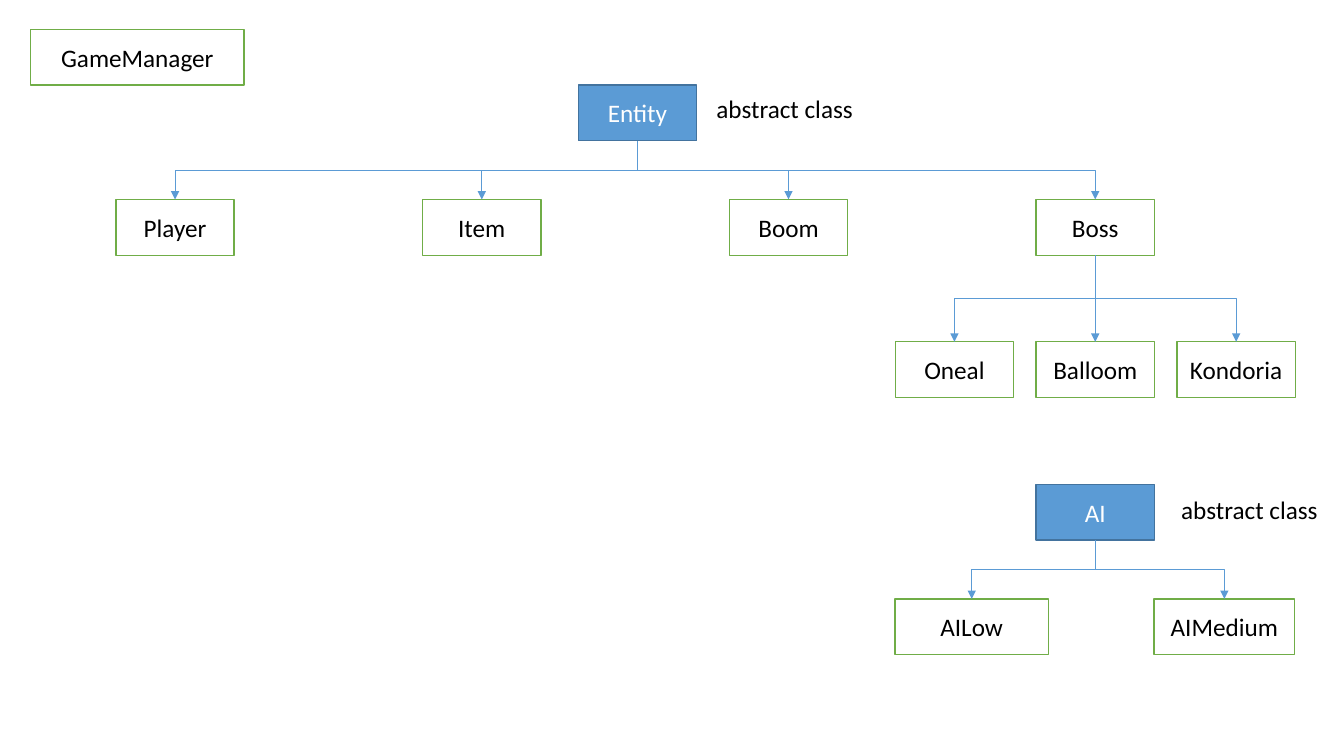
import pptx
import pptx.util
import pptx.dml.color
import pptx.enum.shapes
import pptx.enum.text
import pptx.oxml
import pptx.oxml.ns

Pt = pptx.util.Pt
COLOURS = {
    "blue": "5B9BD5",
    "navy": "43739E",
    "green": "70AD47",
    "white": "FFFFFF",
    "black": "000000",
}
BOX_WIDTH, BOX_HEIGHT = 84.5, 39.9
ROW_LEFT, ROW_PITCH = 82.8, 219.1
BOSS_LEFT, BOSS_PITCH = 740.1, 100.6


def colour(name):
    return pptx.dml.color.RGBColor.from_string(COLOURS[name])


def write(shape, text, ink, alignment):
    para = shape.text_frame.paragraphs[0]
    para.alignment = alignment
    span = para.add_run()
    span.text = text
    span.font.color.rgb = colour(ink)
    for key, value in {"name": "Calibri", "size": Pt(18)}.items():
        setattr(span.font, key, value)


deck = pptx.Presentation()
deck.slide_width, deck.slide_height = Pt(960), Pt(540)
page = deck.slides.add_slide(deck.slide_layouts[6])

classes = [
    ("GameManager", 22, 20.9, 152.2),
    ("Entity", 413.1, 60.7, BOX_WIDTH),
    ("AI", BOSS_LEFT, 345.9, BOX_WIDTH),
    ("AILow", 639.3, 427.8, 109.6),
    ("AIMedium", 824.2, 427.8, 100.7),
]
for index, name in enumerate(["Player", "Item", "Boom", "Boss"]):
    classes.append((name, ROW_LEFT + index * ROW_PITCH, 142.5, BOX_WIDTH))
for index, name in enumerate(["Oneal", "Balloom", "Kondoria"]):
    classes.append((name, BOSS_LEFT + (index - 1) * BOSS_PITCH, 244.1, BOX_WIDTH))

boxes = {}
for name, left, top, width in classes:
    abstract = name in ("Entity", "AI")
    fill, line, ink = ("blue", "navy", "white") if abstract else ("white", "green", "black")
    box = page.shapes.add_shape(
        pptx.enum.shapes.MSO_SHAPE.RECTANGLE, Pt(left), Pt(top), Pt(width), Pt(BOX_HEIGHT))
    box.shadow.inherit = False
    box.fill.solid()
    box.fill.fore_color.rgb = colour(fill)
    box.line.color.rgb = colour(line)
    box.line.width = Pt(1)
    box.text_frame.vertical_anchor = pptx.enum.text.MSO_ANCHOR.MIDDLE
    write(box, name, ink, pptx.enum.text.PP_ALIGN.CENTER)
    boxes[name] = box

children = {
    "Entity": ["Player", "Item", "Boom", "Boss"],
    "Boss": ["Balloom", "Oneal", "Kondoria"],
    "AI": ["AIMedium", "AILow"],
}
for parent_name, child_names in children.items():
    for child_name in child_names:
        parent, child = boxes[parent_name], boxes[child_name]
        start_x = parent.left + parent.width // 2
        end_x = child.left + child.width // 2
        start_y, end_y = parent.top + parent.height, child.top
        drop, reach = end_y - start_y, abs(end_x - start_x)
        link = page.shapes.add_connector(
            pptx.enum.shapes.MSO_CONNECTOR.ELBOW, start_x, start_y, end_x, end_y)
        link.begin_connect(parent, 2)
        link.end_connect(child, 0)
        placement = {
            "left": (start_x + end_x - drop) // 2,
            "top": (start_y + end_y - reach) // 2,
            "width": drop,
            "height": reach,
        }
        for key, value in placement.items():
            setattr(link, key, value)
        rightward = end_x > start_x
        properties = link._element.spPr
        frame = properties.find(pptx.oxml.ns.qn("a:xfrm"))
        frame.set("rot", "16200000" if rightward else "5400000")
        frame.set("flipH", "1" if rightward else "0")
        link.line.color.rgb = colour("blue")
        link.line.width = Pt(0.5)
        namespace = pptx.oxml.ns.nsdecls("a")
        link.line._get_or_add_ln().append(
            pptx.oxml.parse_xml(f'<a:tailEnd {namespace} type="triangle"/>'))
        properties.append(pptx.oxml.parse_xml(f"<a:effectLst {namespace}/>"))

for left, top in [(504.6, 63.4), (836.6, 349.2)]:
    label = page.shapes.add_textbox(Pt(left), Pt(top), Pt(123), Pt(29))
    label.text_frame.word_wrap = True
    label.text_frame.auto_size = pptx.enum.text.MSO_AUTO_SIZE.SHAPE_TO_FIT_TEXT
    write(label, "abstract class", "black", pptx.enum.text.PP_ALIGN.LEFT)

deck.save("out.pptx")
